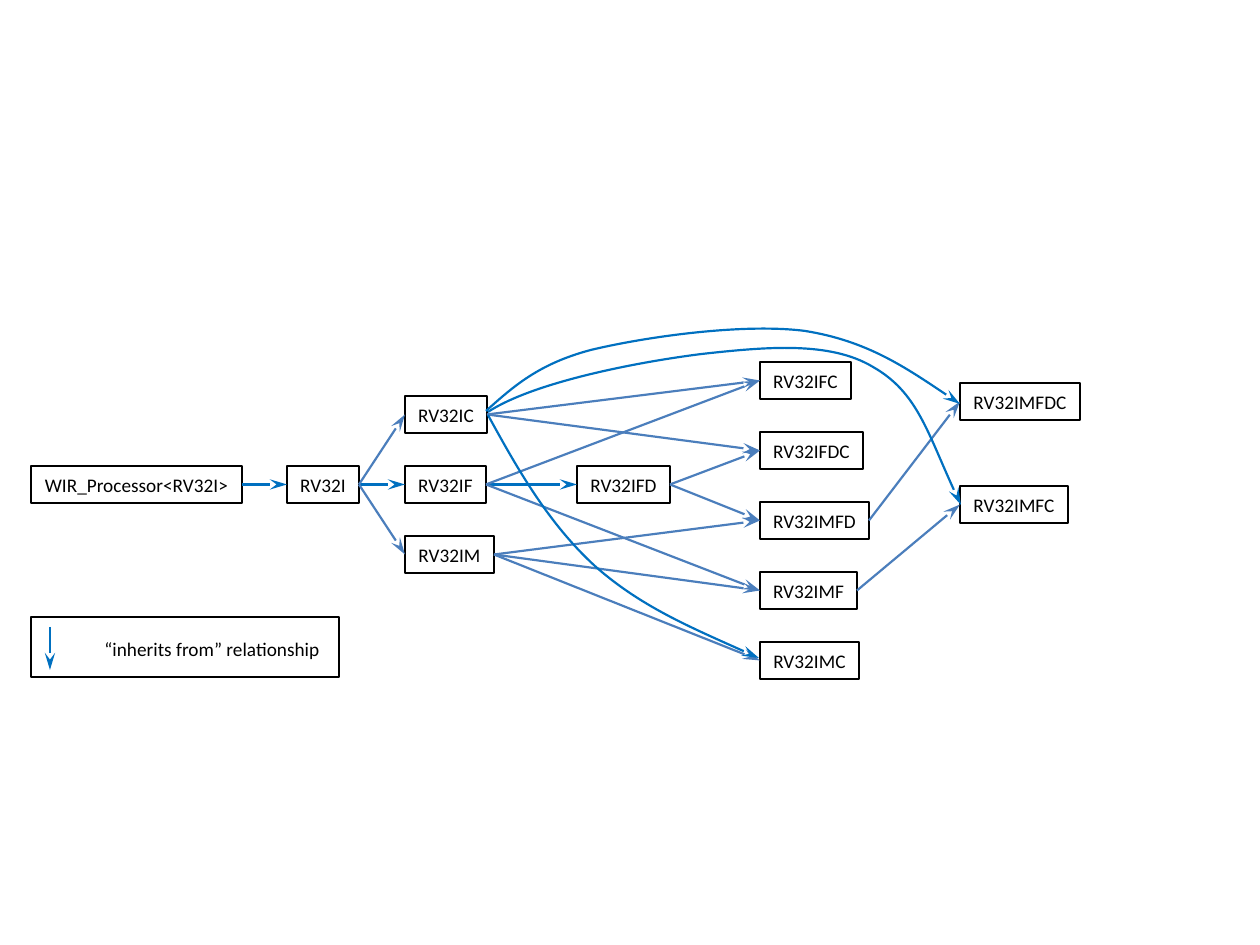
"""Build the RV32 processor inheritance diagram."""
from lxml.etree import SubElement
from pptx import Presentation
from pptx.dml.color import RGBColor
from pptx.enum.shapes import MSO_CONNECTOR as CONN, MSO_SHAPE as SHAPE
from pptx.enum.text import MSO_AUTO_SIZE as AUTO, PP_ALIGN as ALIGN
from pptx.oxml.ns import qn
from pptx.util import Inches, Pt

PX = Inches(1) / 126
BLACK, BLUE, STEEL = "000000", "0070C0", "4B7EBC"
BOX_H, MID, ROW = 37, 466, 70
RIGHT, LEFT = 3, 1

COLUMNS = [
    (31, MID, ROW, [("WIR_Processor<RV32I>", 211)]),
    (287, MID, ROW, [("RV32I", 72)]),
    (405, MID - ROW, ROW, [("RV32IC", 82), ("RV32IF", 81), ("RV32IM", 89)]),
    (577, MID, ROW, [("RV32IFD", 93)]),
    (760, 362, ROW, [("RV32IFC", 91), ("RV32IFDC", 103), ("RV32IMFD", 109),
                     ("RV32IMF", 97), ("RV32IMC", 99)]),
    (960, 383, 103, [("RV32IMFDC", 120), ("RV32IMFC", 108)]),
]
CHILDREN = {
    "WIR_Processor<RV32I>": ["RV32I"],
    "RV32I": ["RV32IF", "RV32IC", "RV32IM"],
    "RV32IF": ["RV32IFD", "RV32IFC", "RV32IMF"],
    "RV32IFD": ["RV32IFDC", "RV32IMFD"],
    "RV32IC": ["RV32IFC", "RV32IFDC"],
    "RV32IM": ["RV32IMFD", "RV32IMC", "RV32IMF"],
    "RV32IMF": ["RV32IMFC"],
    "RV32IMFD": ["RV32IMFDC"],
}
CURVES = [
    [(488, 415), (518, 470), (549, 524), (595, 566),
     (640, 606), (699, 631), (759, 658)],
    [(488, 412), (534, 382), (638, 362), (702, 354), (766, 347),
     (830, 341), (873, 367), (917, 392), (929, 438), (961, 505)],
    [(486, 411), (513, 387), (538, 364), (591, 350), (645, 337),
     (743, 323), (805, 331), (867, 341), (914, 373), (960, 404)],
]
LEGEND_TEXT = "“inherits from” relationship"


def px(*values):
    return [round(v * PX) for v in values]


def color(hex_code):
    return RGBColor.from_string(hex_code)


def write(s, text, align):
    tf = s.text_frame
    tf.word_wrap = False
    tf.auto_size = AUTO.SHAPE_TO_FIT_TEXT
    p = tf.paragraphs[0]
    p.alignment = align
    r = p.add_run()
    r.text = text
    r.font.name, r.font.size = "Calibri", Pt(11)
    r.font.color.rgb = color(BLACK)


def add_box(shapes, *rect):
    s = shapes.add_shape(SHAPE.RECTANGLE, *px(*rect))
    s.shadow.inherit = False
    s.fill.background()
    s.line.color.rgb = color(BLACK)
    s.line.width = Pt(1)
    return s


def style_arrow(s, hex_code):
    s.line.color.rgb = color(hex_code)
    s.line.width = Pt(1.25)
    SubElement(s.line._get_or_add_ln(), qn("a:tailEnd"), type="stealth", w="med", len="lg")


def add_arrow(shapes, hex_code, *ends):
    s = shapes.add_connector(CONN.STRAIGHT, *px(*ends))
    style_arrow(s, hex_code)
    SubElement(s._element.spPr, qn("a:effectLst"))
    return s


def add_curve(shapes, points):
    builder = shapes.build_freeform(*points[0], scale=PX)
    builder.add_line_segments(points[1:], close=False)
    s = builder.convert_to_shape()
    s.shadow.inherit = False
    s.fill.background()
    style_arrow(s, BLUE)
    segments = list(s._element.iter(qn("a:lnTo")))
    for i in range(0, len(segments), 3):
        bezier = SubElement(segments[i].getparent(), qn("a:cubicBezTo"))
        for segment in segments[i:i + 3]:
            bezier.append(segment[0])
            segment.getparent().remove(segment)


def add_legend(slide):
    shapes = slide.shapes.add_group_shape().shapes
    add_arrow(shapes, BLUE, 50, 627, 50, 670)
    write(shapes.add_textbox(*px(92, 631, 242, BOX_H)), LEGEND_TEXT, ALIGN.LEFT)
    add_box(shapes, 31, 617, 308, 60)


def main():
    prs = Presentation()
    prs.slide_width, prs.slide_height = Inches(10), Inches(7.5)
    slide = prs.slides.add_slide(prs.slide_layouts[6])
    add_legend(slide)
    boxes = {}
    for x, top, pitch, column in COLUMNS:
        for i, (name, width) in enumerate(column):
            y = top + i * pitch
            s = add_box(slide.shapes, x, y, width, BOX_H)
            write(s, name, ALIGN.CENTER)
            boxes[name] = s
    for parent, children in CHILDREN.items():
        for child in children:
            start, end = boxes[parent], boxes[child]
            s = add_arrow(slide.shapes, BLUE if start.top == end.top else STEEL, 0, 0, 0, 0)
            s.begin_connect(start, RIGHT)
            s.end_connect(end, LEFT)
    for points in CURVES:
        add_curve(slide.shapes, points)
    prs.save("out.pptx")


if __name__ == "__main__":
    main()
